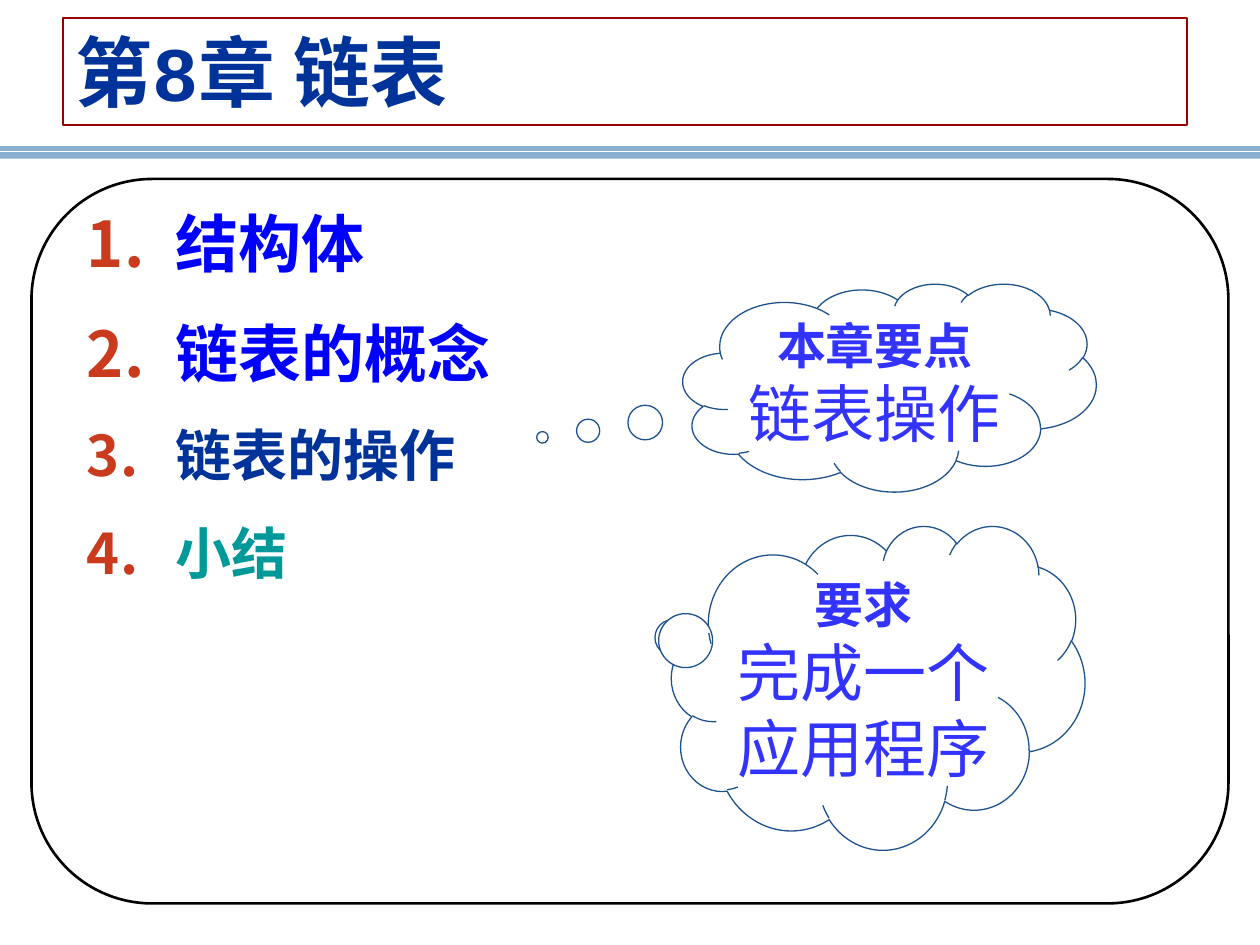
from lxml import etree
from pptx import Presentation
from pptx.dml.color import RGBColor
from pptx.enum.shapes import MSO_CONNECTOR, MSO_SHAPE
from pptx.enum.text import MSO_ANCHOR, MSO_AUTO_SIZE, PP_ALIGN
from pptx.oxml.ns import qn
from pptx.util import Inches, Pt

PANEL = MSO_SHAPE.FLOWCHART_ALTERNATE_PROCESS
BAND = MSO_SHAPE.RECTANGLE
CLOUD = MSO_SHAPE.CLOUD_CALLOUT
STRAIGHT = MSO_CONNECTOR.STRAIGHT
MIDDLE, TOP = MSO_ANCHOR.MIDDLE, MSO_ANCHOR.TOP
LEFT, CENTER = PP_ALIGN.LEFT, PP_ALIGN.CENTER
NO_AUTOFIT = MSO_AUTO_SIZE.NONE

WIDTH, HEIGHT = 10, 7.5
PANEL_TOP, PANEL_HEIGHT = 1.42, 5.75
NUMBER_INDENT = 0.7
NAVY, BLUE, TEAL, VIOLET = "003399", "0000FF", "009999", "3333FF"
CHAPTERS = [("结构体", 36, BLUE), ("链表的概念", 36, BLUE),
            ("链表的操作", 32, NAVY), ("小结", 32, TEAL)]
CLOUDS = [
    ((5.42, 2.25, 3.28, 1.65), (-0.84, 0.24), "本章要点", "链表操作"),
    ((5.33, 4.17, 3.28, 2.57), (-0.485, -0.15), "要求", "完成一个应用程序"),
]


def color(value):
    return RGBColor.from_string(value)


def place(shape, left, top, width, height):
    shape.left, shape.top = Inches(left), Inches(top)
    shape.width, shape.height = Inches(width), Inches(height)


def set_line(shape, line, weight):
    shape.line.color.rgb = color(line)
    shape.line.width = Pt(weight)


def add_shape(page, kind, box, fill=None, line=None, weight=0.75):
    shape = page.shapes.add_shape(kind, *map(Inches, box))
    shape.shadow.inherit = False
    if fill:
        shape.fill.solid()
        shape.fill.fore_color.rgb = color(fill)
    else:
        shape.fill.background()
    if line:
        set_line(shape, line, weight)
    else:
        shape.line.fill.background()
    return shape


def set_frame(frame, anchor, insets=(0.1, 0.05, 0.1, 0.05)):
    frame.word_wrap = True
    frame.auto_size = NO_AUTOFIT
    frame.vertical_anchor = anchor
    (frame.margin_left, frame.margin_top,
     frame.margin_right, frame.margin_bottom) = map(Inches, insets)


def write(para, text, size, font, hue, bold=True, align=LEFT):
    para.alignment = align
    span = para.add_run()
    span.text = text
    span.font.size = Pt(size)
    span.font.name = font
    span.font.bold = bold
    span.font.color.rgb = color(hue)


def paragraphs(frame, count):
    """Return the first paragraph and as many new ones as needed."""
    return [frame.paragraphs[0]] + [frame.add_paragraph() for _ in range(count - 1)]


def number(para, hue):
    """Give the paragraph an automatic number with a hanging indent."""
    props = para._p.get_or_add_pPr()
    props.set("marL", str(Inches(NUMBER_INDENT)))
    props.set("indent", str(-Inches(NUMBER_INDENT)))
    bullet_color = etree.SubElement(props, qn("a:buClr"))
    etree.SubElement(bullet_color, qn("a:srgbClr"), val=hue)
    etree.SubElement(props, qn("a:buFont"), typeface="Courier New")
    etree.SubElement(props, qn("a:buAutoNum"), type="arabicPeriod")


def add_background(page):
    add_shape(page, PANEL, (0.25, PANEL_TOP, WIDTH - 0.5, PANEL_HEIGHT),
              line="000000", weight=1.5)
    add_shape(page, BAND, (0, 1.16, WIDTH, 0.1), fill="8AAECE")
    stripe = page.shapes.add_connector(
        STRAIGHT, 0, Inches(1.2), Inches(WIDTH), Inches(1.2))
    set_line(stripe, "FFFFFF", 0.75)
    etree.SubElement(stripe._element.spPr, qn("a:effectLst"))


def fill_title(title):
    place(title, 0.5, 0.14, 8.92, 0.85)
    set_line(title, "990000", 1)
    set_frame(title.text_frame, MIDDLE)
    write(title.text_frame.paragraphs[0], "第8章 链表", 44, "Courier New", NAVY)


def fill_chapters(body):
    place(body, 0.67, PANEL_TOP, WIDTH - 0.67, PANEL_HEIGHT)
    frame = body.text_frame
    set_frame(frame, TOP, (0.02, 0.05, 0.1, 0.05))
    for para, (text, size, hue) in zip(paragraphs(frame, len(CHAPTERS)), CHAPTERS):
        first = para._p is frame.paragraphs[0]._p
        para.line_spacing = 1.25
        para.space_before = Pt(0 if first else size / 4)
        number(para, "CA3B1E")
        write(para, text, size, "Courier New", hue)


def add_cloud(page, box, tail, heading, text):
    cloud = add_shape(page, CLOUD, box, fill="FFFFFF", line="1D528D")
    cloud.adjustments[0], cloud.adjustments[1] = tail
    set_frame(cloud.text_frame, MIDDLE, (0, 0, 0, 0))
    top, bottom = paragraphs(cloud.text_frame, 2)
    write(top, heading, 28, "Arial", VIOLET, align=CENTER)
    write(bottom, text, 36, "Arial", VIOLET, bold=False, align=CENTER)


def main():
    deck = Presentation()
    deck.slide_width, deck.slide_height = Inches(WIDTH), Inches(HEIGHT)
    page = deck.slides.add_slide(deck.slide_layouts[1])
    add_background(page)
    title, body = page.placeholders
    for holder in (title, body):
        page.shapes.element.append(holder.element)
    fill_title(title)
    fill_chapters(body)
    for cloud in CLOUDS:
        add_cloud(page, *cloud)
    deck.save("out.pptx")


if __name__ == "__main__":
    main()
